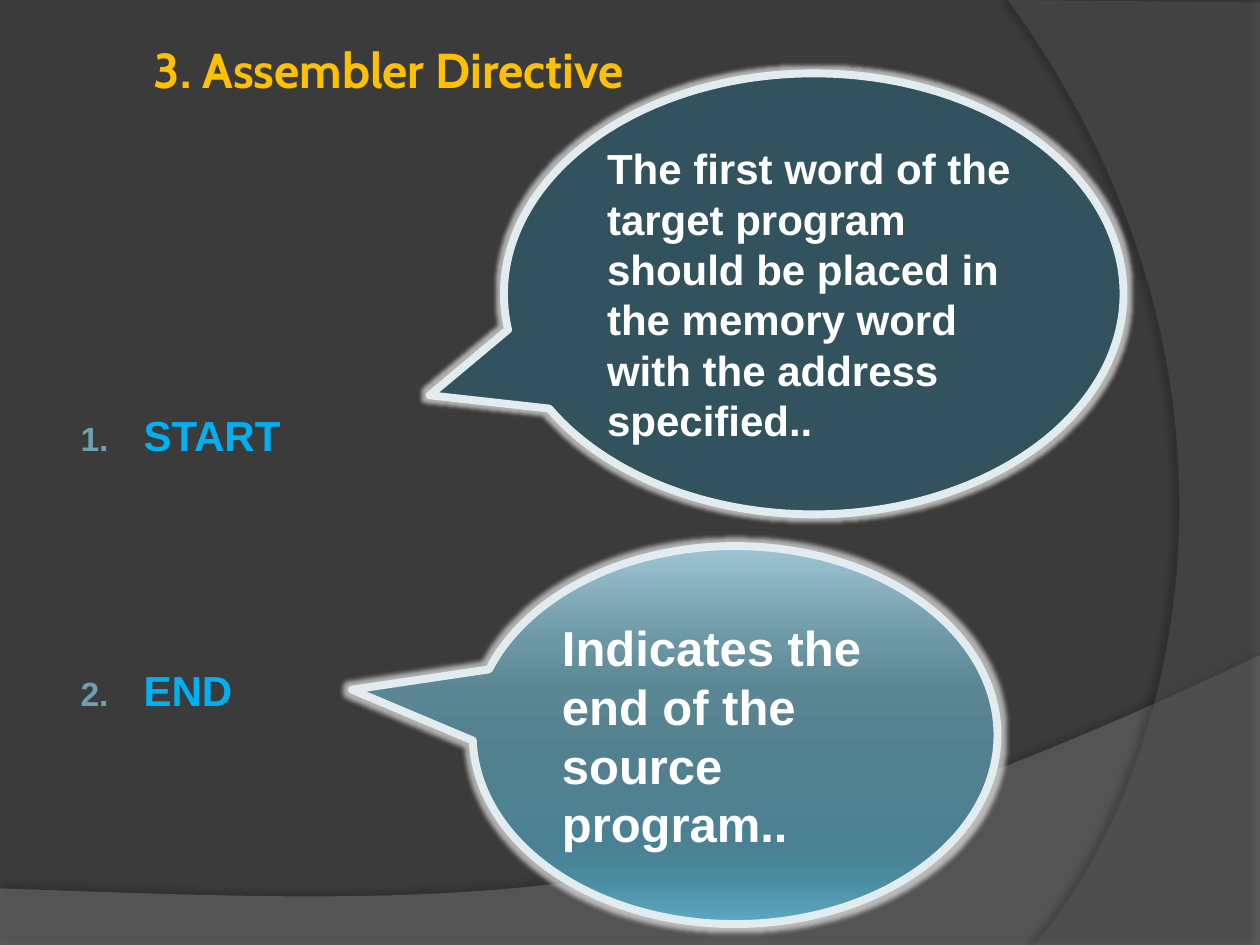
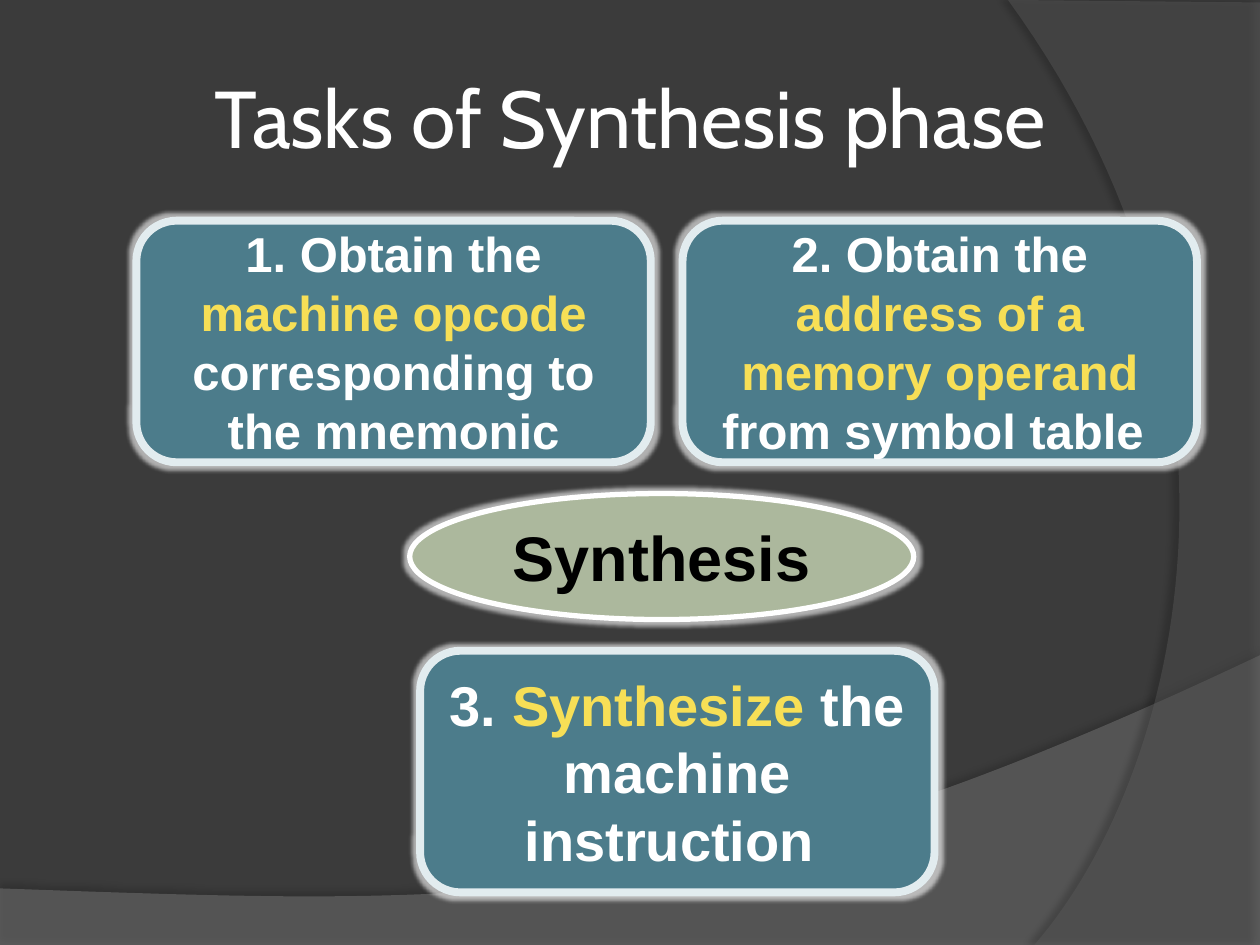
from dataclasses import dataclass

from lxml import etree
from pptx import Presentation
from pptx import util as u
from pptx.dml.color import RGBColor
from pptx.enum import shapes, text
from pptx.oxml import ns

BACKDROP = RGBColor(0x3B, 0x3B, 0x3B)
FLOOR_GREY = RGBColor(0x7F, 0x7F, 0x7F)
SIDE_GREY = RGBColor(0x5E, 0x5E, 0x5E)
BLACK = RGBColor(0, 0, 0)
WHITE = RGBColor(0xFF, 0xFF, 0xFF)
AMBER = RGBColor(0xFF, 0xC0, 0x00)
SKY = RGBColor(0x00, 0xB0, 0xF0)
NUMBER_BLUE = RGBColor(0x6E, 0xA0, 0xB0)
YELLOW = RGBColor(0xF7, 0xDF, 0x56)
PALE_EDGE = RGBColor(0xE2, 0xEC, 0xEF)
DEEP_TEAL = RGBColor(0x32, 0x52, 0x5D)
TEAL = RGBColor(0x4C, 0x7C, 0x8B)
SAGE = RGBColor(0xAC, 0xB8, 0x9D)
TEAL_BLEND = (
    (0, RGBColor(0x9E, 0xC4, 0xD2)),
    (25, RGBColor(0x6C, 0x97, 0xA5)),
    (38, RGBColor(0x5B, 0x86, 0x94)),
    (55, RGBColor(0x51, 0x80, 0x8F)),
    (80, RGBColor(0x4A, 0x82, 0x94)),
    (88, RGBColor(0x4A, 0x8B, 0xA0)),
    (100, RGBColor(0x5D, 0xAA, 0xC2)),
)
HEADING_FONT = "Cabin"
BODY_FONT = "Arial"
CENTER = text.PP_ALIGN.CENTER
LEFT = text.PP_ALIGN.LEFT
Kind = shapes.MSO_SHAPE
Point = tuple[float, float]


@dataclass(frozen=True)
class Area:
    left: float
    top: float
    width: float
    height: float


@dataclass(frozen=True)
class Swoosh:
    corners: tuple[Point, ...]
    curve: tuple[Point, Point, Point]
    color: RGBColor
    opacity: int
    shadow_opacity: int
    shadow_distance: float
    shadow_angle: int


@dataclass(frozen=True)
class Bubble:
    kind: Kind
    area: Area
    spans: tuple[tuple[str, RGBColor], ...]
    size: int
    fill: RGBColor | tuple[tuple[int, RGBColor], ...] = TEAL
    edge: RGBColor = PALE_EDGE
    edge_width: float = 4.5
    align: text.PP_ALIGN = CENTER
    pointer: tuple[float, ...] = ()


SWOOSHES = (
    Swoosh(((0, 17.91), (0, 19.08), (25.4, 19.08), (25.4, 13.21)),
           ((14.2, 18.52), (9.93, 18.26), (0, 17.91)), FLOOR_GREY, 45, 35, 3.5, 270),
    Swoosh(((25.4, 0.05), (25.4, 19.05), (20.85, 19.05)),
           ((23.75, 15.72), (25.86, 7.62), (20.32, 0)), SIDE_GREY, 40, 45, 4, 180),
)

CALLOUTS = (
    Bubble(Kind.OVAL_CALLOUT, Area(10.16, 1.48, 12.49, 8.89),
           (("The first word of the target program should be placed in "
             "the memory word with the address specified..", WHITE),),
           24, DEEP_TEAL, align=LEFT, pointer=(-0.62, 0.23)),
    Bubble(Kind.OVAL_CALLOUT, Area(9.53, 11.01, 10.58, 7.62),
           (("Indicates the end of the source program..", WHITE),),
           28, TEAL_BLEND, align=LEFT, pointer=(-0.73, -0.12)),
)

TASKS = (
    Bubble(Kind.ROUNDED_RECTANGLE, Area(2.75, 4.45, 10.37, 4.87),
           (("1. Obtain the ", WHITE), ("machine opcode ", YELLOW),
            ("corresponding to the mnemonic", WHITE)), 28),
    Bubble(Kind.ROUNDED_RECTANGLE, Area(13.76, 4.45, 10.37, 4.87),
           (("2. Obtain the ", WHITE), ("address of a memory operand ", YELLOW),
            ("from symbol table ", WHITE)), 28),
    Bubble(Kind.ROUNDED_RECTANGLE, Area(8.47, 13.12, 10.37, 4.87),
           (("3.", WHITE), (" Synthesize ", YELLOW),
            ("the machine instruction ", WHITE)), 32),
    Bubble(Kind.OVAL, Area(8.26, 9.95, 10.16, 2.54),
           (("Synthesis", BLACK),), 36, SAGE, WHITE, 3),
)


def add_node(parent, tag: str, **attributes):
    node = etree.SubElement(parent, ns.qn(tag))
    for name, value in attributes.items():
        node.set(name, str(value))
    return node


def add_color(parent, color: RGBColor, opacity: int = 100) -> None:
    node = add_node(parent, "a:srgbClr", val=color)
    if opacity < 100:
        add_node(node, "a:alpha", val=opacity * 1000)


def effects_of(shape):
    shape.shadow.inherit = False
    return shape.element.spPr.find(ns.qn("a:effectLst"))


def curve_points(start: Point, curve: tuple[Point, Point, Point], steps: int = 60) -> list[Point]:
    points = []
    for step in range(1, steps + 1):
        t = step / steps
        weights = ((1 - t) ** 3, 3 * t * (1 - t) ** 2, 3 * t * t * (1 - t), t ** 3)
        knots = (start, *curve)
        points.append(tuple(sum(w * knot[axis] for w, knot in zip(weights, knots))
                            for axis in (0, 1)))
    return points


def draw_swoosh(deck, page, swoosh: Swoosh, depth: int) -> None:
    outline = [*swoosh.corners, *curve_points(swoosh.corners[-1], swoosh.curve)]
    points = [(u.Cm(x), u.Cm(y)) for x, y in outline]
    builder = page.shapes.build_freeform(*points[0], scale=1.0)
    builder.add_line_segments(points[1:], close=True)
    shape = builder.convert_to_shape()
    shape.fill.solid()
    shape.fill.fore_color.rgb = swoosh.color
    tint = shape.element.spPr.find(".//" + ns.qn("a:srgbClr"))
    add_node(tint, "a:alpha", val=swoosh.opacity * 1000)
    shape.line.fill.background()
    shadow = add_node(effects_of(shape), "a:outerShdw", blurRad=u.Pt(4),
                      dist=u.Pt(swoosh.shadow_distance), dir=swoosh.shadow_angle * 60000,
                      algn="ctr", rotWithShape=0)
    add_color(shadow, BLACK, swoosh.shadow_opacity)
    master = deck.slide_master
    next_id = max(item.shape_id for item in master.shapes) + 1
    shape.element.nvSpPr.cNvPr.set("id", str(next_id))
    master.shapes.element.insert(2 + depth, shape.element)


def paint(shape, fill: RGBColor | tuple[tuple[int, RGBColor], ...]) -> None:
    if isinstance(fill, RGBColor):
        shape.fill.solid()
        shape.fill.fore_color.rgb = fill
        return
    shape.fill.gradient()
    shape.fill.gradient_angle = 270
    stops = shape.element.spPr.find(".//" + ns.qn("a:gsLst"))
    for stop in list(stops):
        stops.remove(stop)
    for position, color in fill:
        add_color(add_node(stops, "a:gs", pos=position * 1000), color)


def set_font(font, name: str, size: int, bold: bool, color: RGBColor | None = None) -> None:
    font.name = name
    font.size = u.Pt(size)
    font.bold = bold
    if color is not None:
        font.color.rgb = color


def draw_bubble(page, bubble: Bubble) -> None:
    area = bubble.area
    shape = page.shapes.add_shape(bubble.kind, u.Cm(area.left), u.Cm(area.top),
                                  u.Cm(area.width), u.Cm(area.height))
    for index, value in enumerate(bubble.pointer):
        shape.adjustments[index] = value
    paint(shape, bubble.fill)
    shape.line.color.rgb = bubble.edge
    shape.line.width = u.Pt(bubble.edge_width)
    add_color(add_node(effects_of(shape), "a:glow", rad=u.Pt(5)), WHITE, 60)
    frame = shape.text_frame
    frame.word_wrap = True
    frame.vertical_anchor = text.MSO_ANCHOR.MIDDLE
    para = frame.paragraphs[0]
    para.alignment = bubble.align
    shared_color = bubble.spans[0][1] if len(bubble.spans) == 1 else None
    set_font(para.font, BODY_FONT, bubble.size, True, shared_color)
    for words, color in bubble.spans:
        span = para.add_run()
        span.text = words
        if shared_color is None:
            span.font.color.rgb = color


def place(box, area: Area):
    box.left, box.top = u.Cm(area.left), u.Cm(area.top)
    box.width, box.height = u.Cm(area.width), u.Cm(area.height)
    frame = box.text_frame
    frame.word_wrap = True
    frame.auto_size = text.MSO_AUTO_SIZE.NONE
    return frame


def write_title(page, area: Area, words: str, size: int, bold: bool, color: RGBColor) -> None:
    frame = place(page.shapes.title, area)
    frame.margin_left = frame.margin_right = u.Cm(0.13)
    frame.margin_top = frame.margin_bottom = u.Cm(0.13)
    frame.vertical_anchor = text.MSO_ANCHOR.MIDDLE
    frame.text = words
    para = frame.paragraphs[0]
    para.alignment = CENTER
    set_font(para.font, HEADING_FONT, size, bold, color)


def write_directives(page, area: Area, directives: tuple[tuple[str, float], ...]) -> None:
    frame = place(page.placeholders[1], area)
    frame.vertical_anchor = text.MSO_ANCHOR.TOP
    frame.text = "\n".join(words for words, _ in directives)
    for number, (para, (_, gap)) in enumerate(zip(frame.paragraphs, directives), 1):
        para.line_spacing = 1.5
        para.space_before = u.Pt(gap)
        para.alignment = LEFT
        style = para._p.get_or_add_pPr()
        style.set("marL", str(u.Cm(1.37)))
        style.set("indent", str(u.Cm(-1.27)))
        add_color(add_node(style, "a:buClr"), NUMBER_BLUE)
        add_node(style, "a:buSzPct", val=80000)
        add_node(style, "a:buFont", typeface=BODY_FONT)
        add_node(style, "a:buAutoNum", type="arabicPeriod", startAt=number)
        set_font(para.font, BODY_FONT, 24, True, SKY)


def main() -> None:
    deck = Presentation()
    deck.slide_width, deck.slide_height = u.Cm(25.4), u.Cm(19.05)
    backdrop = deck.slide_master.background.fill
    backdrop.solid()
    backdrop.fore_color.rgb = BACKDROP

    directive_page = deck.slides.add_slide(deck.slide_layouts[1])
    for depth, swoosh in enumerate(SWOOSHES):
        draw_swoosh(deck, directive_page, swoosh, depth)
    write_title(directive_page, Area(-3.18, -0.2, 22.02, 3.18),
                "3. Assembler Directive", 28, True, AMBER)
    write_directives(directive_page, Area(1.27, 7.62, 6.15, 3.18),
                     (("START", 2.4), ("END", 102.6)))
    for callout in CALLOUTS:
        draw_bubble(directive_page, callout)

    synthesis_page = deck.slides.add_slide(deck.slide_layouts[5])
    write_title(synthesis_page, Area(1.27, 0.76, 22.86, 3.18),
                "Tasks of Synthesis phase", 46, False, WHITE)
    for task in TASKS:
        draw_bubble(synthesis_page, task)

    deck.save("out.pptx")


if __name__ == "__main__":
    main()
